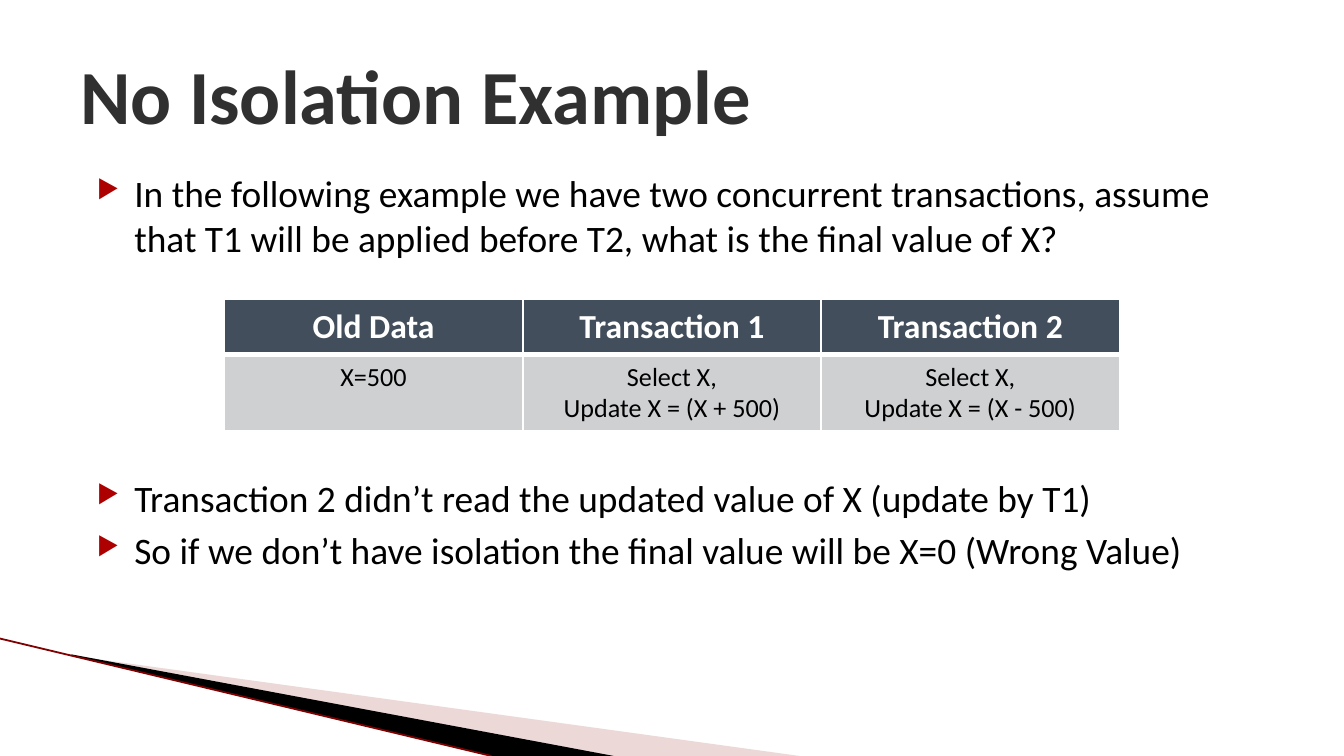
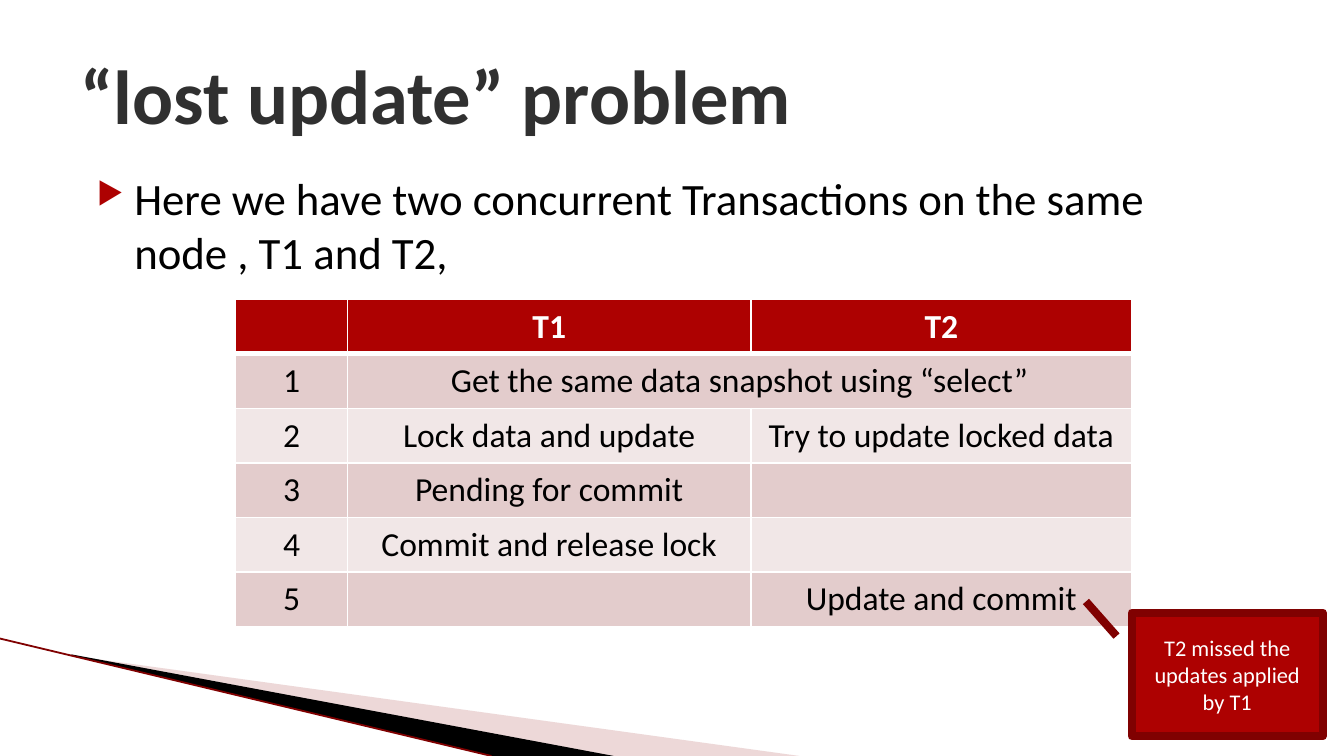
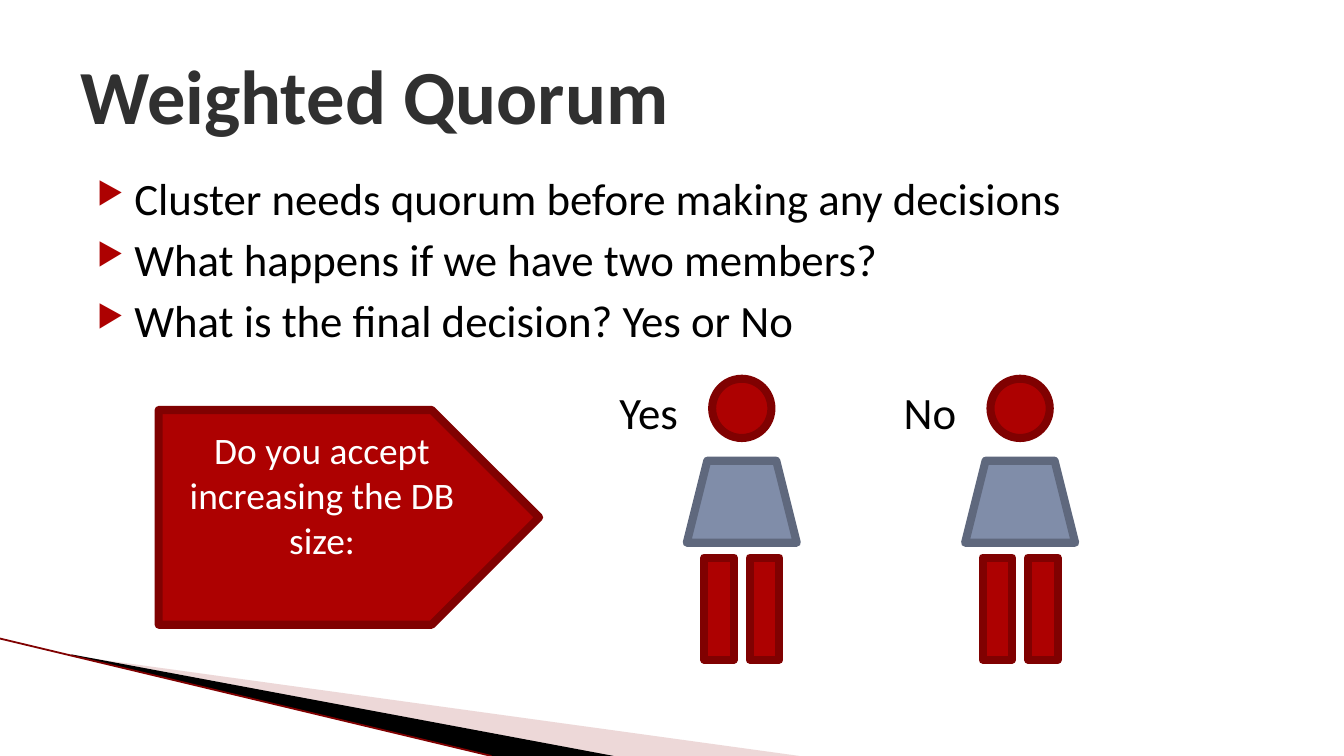
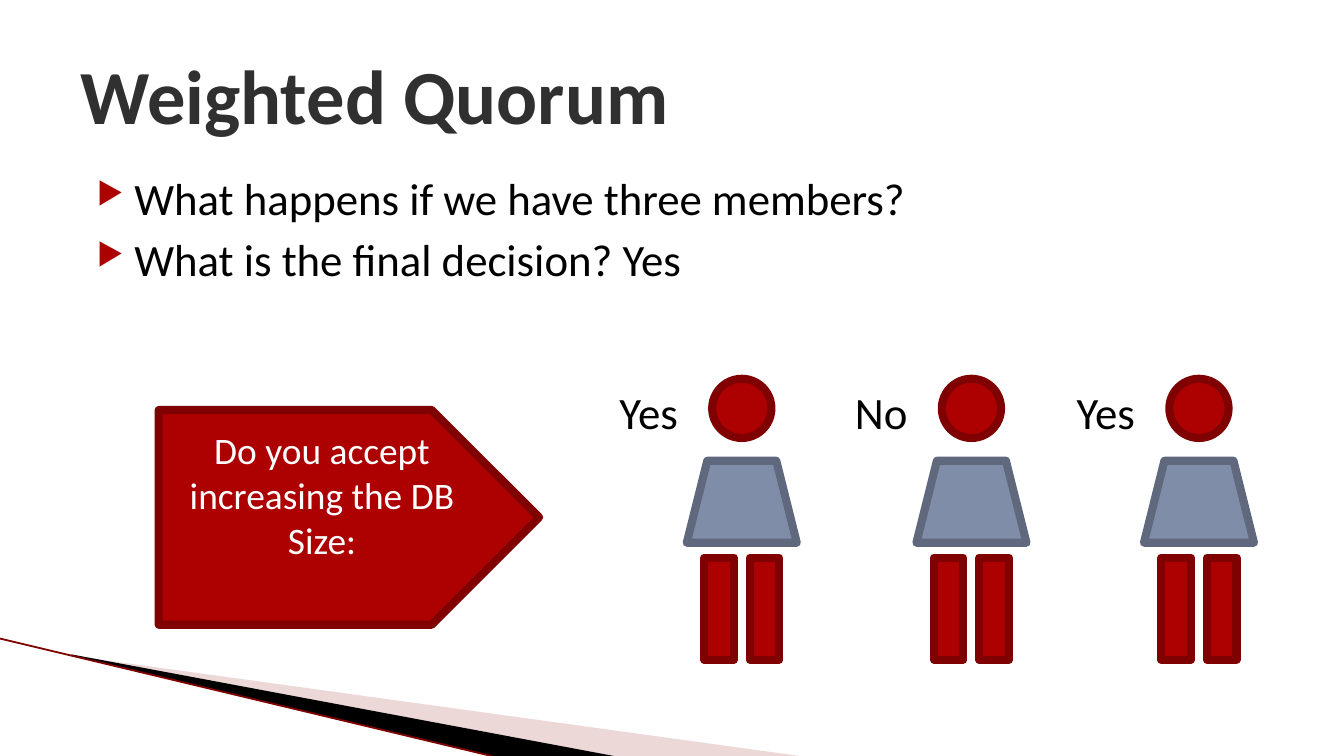
from dataclasses import dataclass

from lxml import etree
from pptx import Presentation
from pptx.dml.color import RGBColor
from pptx.enum.shapes import MSO_CONNECTOR, MSO_SHAPE
from pptx.enum.text import MSO_ANCHOR, PP_ALIGN
from pptx.oxml.ns import qn
from pptx.util import Cm, Pt

LEFT, CENTER, RIGHT = PP_ALIGN.LEFT, PP_ALIGN.CENTER, PP_ALIGN.RIGHT
TOP, MIDDLE = MSO_ANCHOR.TOP, MSO_ANCHOR.MIDDLE
OVAL, RECTANGLE, TRAPEZOID = MSO_SHAPE.OVAL, MSO_SHAPE.RECTANGLE, MSO_SHAPE.TRAPEZOID
PENTAGON, CALLOUT = MSO_SHAPE.PENTAGON, MSO_SHAPE.LINE_CALLOUT_1
STRAIGHT = MSO_CONNECTOR.STRAIGHT


@dataclass(frozen=True)
class Theme:
    font: str = "Calibri"
    title: str = "303030"
    text: str = "000000"
    white: str = "FFFFFF"
    red: str = "AD0101"
    dark_red: str = "800101"
    pink: str = "D29E9E"
    torso: str = "808DA9"
    torso_edge: str = "5F687D"
    slate: str = "424E5B"
    gray: str = "CFD0D2"
    band_dark: str = "E3CCCC"
    band_light: str = "F1E7E7"
    title_size: float = 41
    large: float = 24
    medium: float = 20
    table: float = 18
    small: float = 14
    note: float = 12
    outline: float = 4.33


THEME = Theme()


@dataclass(frozen=True)
class Box:
    """Left, top, width and height in centimetres."""
    left: float
    top: float
    width: float
    height: float

    def lengths(self) -> tuple[Cm, Cm, Cm, Cm]:
        return Cm(self.left), Cm(self.top), Cm(self.width), Cm(self.height)


@dataclass(frozen=True)
class Style:
    size: float
    color: str = THEME.text
    bold: bool = False
    align: PP_ALIGN = LEFT


@dataclass(frozen=True)
class Bullet:
    text: str
    space_before: float = 4


@dataclass(frozen=True)
class Grid:
    left: float
    top: float
    columns: tuple[float, ...]
    heights: tuple[float, ...]
    rows: tuple[tuple[str, ...], ...]
    header_fill: str
    bands: tuple[str, ...]
    body_size: float


@dataclass(frozen=True)
class Voter:
    left: float
    vote: str


@dataclass(frozen=True)
class BodyPart:
    kind: MSO_SHAPE
    box: Box
    fill: str = THEME.red
    edge: str = THEME.dark_red


TITLE_BOX = Box(1.27, 0.58, 22.86, 2.39)
BULLETS_BOX = Box(1.27, 3.1, 22.86, 9.42)
QUESTION_BOX = Box(3, 7.75, 7.19, 4.06)
NOTE_BOX = Box(21.39, 11.58, 3.61, 2.34)
SLIDE_HEIGHT = 14.29

# Each part's left edge is measured from the voter's left edge
BODY_PARTS = (
    BodyPart(OVAL, Box(0.48, 7.16, 1.12, 1.12)),
    BodyPart(TRAPEZOID, Box(0, 8.71, 2.08, 1.55), THEME.torso, THEME.torso_edge),
    BodyPart(RECTANGLE, Box(1.19, 10.54, 0.56, 1.93)),
    BodyPart(RECTANGLE, Box(0.33, 10.54, 0.56, 1.93)),
)

ISOLATION = Grid(
    4.24, 5.66, (5.64,) * 3, (1.04, 1.42),
    (("Old Data", "Transaction 1", "Transaction 2"),
     ("X=500", "Select X,\nUpdate X = (X + 500)", "Select X,\nUpdate X = (X - 500)")),
    THEME.slate, (THEME.gray,), THEME.small)

LOST_UPDATE = Grid(
    4.45, 5.66, (2.12, 7.62, 7.2), (1.03,) * 6,
    (("", "T1", "T2"),
     ("1", "Get the same data snapshot using “select”", ""),
     ("2", "Lock data and update", "Try to update locked data"),
     ("3", "Pending for commit", ""),
     ("4", "Commit and release lock", ""),
     ("5", "", "Update and commit")),
    THEME.red, (THEME.band_dark, THEME.band_light), THEME.table)


# Text and shape helpers

def rgb(color: str) -> RGBColor:
    return RGBColor.from_string(color)


def write(frame, text: str, style: Style) -> None:
    frame.text = text
    for paragraph in frame.paragraphs:
        paragraph.alignment = style.align
        format_paragraph(paragraph, style)


def format_paragraph(paragraph, style: Style) -> None:
    paragraph.font.size = Pt(style.size)
    for run in paragraph.runs:
        run.font.name = THEME.font
        run.font.size = Pt(style.size)
        run.font.bold = style.bold
        run.font.color.rgb = rgb(style.color)


def text_frame(slide, box: Box, anchor: MSO_ANCHOR = TOP):
    frame = slide.shapes.add_textbox(*box.lengths()).text_frame
    frame.word_wrap = True
    frame.vertical_anchor = anchor
    return frame


def add_outlined(shapes, kind: MSO_SHAPE, box: Box,
                 fill: str = THEME.red, edge: str = THEME.dark_red):
    shape = shapes.add_shape(kind, *box.lengths())
    shape.shadow.inherit = False
    shape.fill.solid()
    shape.fill.fore_color.rgb = rgb(fill)
    shape.line.color.rgb = rgb(edge)
    shape.line.width = Pt(THEME.outline)
    return shape


# Shared slide parts

def add_wedge(slide, points: list[tuple[float, float]], color: str, opacity: int = 100) -> None:
    start, *rest = [(Cm(x), Cm(y)) for x, y in points]
    builder = slide.shapes.build_freeform(*start, scale=1.0)
    builder.add_line_segments(rest, close=True)
    wedge = builder.convert_to_shape()
    wedge.shadow.inherit = False
    wedge.fill.solid()
    wedge.fill.fore_color.rgb = rgb(color)
    wedge.line.fill.background()
    if opacity < 100:
        tint = wedge.fill._xPr.find(".//" + qn("a:srgbClr"))
        etree.SubElement(tint, qn("a:alpha"), val=str(opacity * 1000))


def add_corner(slide) -> None:
    add_wedge(slide, [(1.4, 12.4), (15.11, SLIDE_HEIGHT), (11.58, SLIDE_HEIGHT)], THEME.pink, 40)
    add_wedge(slide, [(1.35, 12.37), (11.6, SLIDE_HEIGHT), (9.29, SLIDE_HEIGHT), (1.37, 12.4)],
              THEME.text)
    edge = slide.shapes.add_connector(STRAIGHT, Cm(0), Cm(12.07), Cm(9.29), Cm(SLIDE_HEIGHT))
    edge.line.color.rgb = rgb(THEME.dark_red)
    edge.line.width = Pt(0.95)
    etree.SubElement(edge._element.spPr, qn("a:effectLst"))


def add_marker(paragraph) -> None:
    properties = paragraph._p.get_or_add_pPr()
    properties.set("marL", str(Cm(1.02)))
    properties.set("indent", str(Cm(-0.71)))
    color = etree.SubElement(properties, qn("a:buClr"))
    etree.SubElement(color, qn("a:srgbClr"), val=THEME.red)
    etree.SubElement(properties, qn("a:buSzPct"), val="68000")
    etree.SubElement(properties, qn("a:buChar"), char="▶")


def add_bullets(slide, bullets: list[Bullet], size: float) -> None:
    frame = text_frame(slide, BULLETS_BOX)
    frame.text = "\n".join(bullet.text for bullet in bullets)
    for index, (paragraph, bullet) in enumerate(zip(frame.paragraphs, bullets)):
        add_marker(paragraph)
        if index:
            paragraph.space_before = Pt(bullet.space_before)
        format_paragraph(paragraph, Style(size))


def add_content_slide(deck, title: str, bullets: list[Bullet], size: float = THEME.large):
    slide = deck.slides.add_slide(deck.slide_layouts[6])
    add_corner(slide)
    add_bullets(slide, bullets, size)
    write(text_frame(slide, TITLE_BOX, MIDDLE), title,
          Style(THEME.title_size, THEME.title, bold=True))
    return slide


# Tables

def set_borders(cell, bottom: float) -> None:
    properties = cell._tc.get_or_add_tcPr()
    for side, width in (("L", 1), ("R", 1), ("T", 1), ("B", bottom)):
        border = etree.SubElement(properties, qn(f"a:ln{side}"), w=str(Pt(width)))
        fill = etree.SubElement(border, qn("a:solidFill"))
        etree.SubElement(fill, qn("a:srgbClr"), val=THEME.white)


def add_grid(slide, grid: Grid):
    box = Box(grid.left, grid.top, sum(grid.columns), sum(grid.heights))
    table = slide.shapes.add_table(len(grid.rows), len(grid.columns), *box.lengths()).table
    for column, width in zip(table.columns, grid.columns):
        column.width = Cm(width)
    for row, height in zip(table.rows, grid.heights):
        row.height = Cm(height)
    header_style = Style(THEME.table, THEME.white, bold=True, align=CENTER)
    body_style = Style(grid.body_size, align=CENTER)
    for row_index, texts in enumerate(grid.rows):
        header = row_index == 0
        fill = grid.header_fill if header else grid.bands[(row_index - 1) % len(grid.bands)]
        for column_index, text in enumerate(texts):
            cell = table.cell(row_index, column_index)
            write(cell.text_frame, text, header_style if header else body_style)
            set_borders(cell, bottom=3 if header else 1)
            cell.fill.solid()
            cell.fill.fore_color.rgb = rgb(fill)
    return table


# Voting scene

def add_voter(slide, voter: Voter) -> None:
    figure = slide.shapes.add_group_shape()
    for part in BODY_PARTS:
        box = Box(voter.left + part.box.left, part.box.top, part.box.width, part.box.height)
        add_outlined(figure.shapes, part.kind, box, part.fill, part.edge)
    vote = text_frame(slide, Box(voter.left - 1.55, 7.14, 1.63, 1.27))
    vote.margin_left = 0
    write(vote, voter.vote, Style(THEME.large, align=RIGHT))


def add_vote(slide, question: str, voters: list[Voter]) -> None:
    frame = add_outlined(slide.shapes, PENTAGON, QUESTION_BOX).text_frame
    frame.word_wrap = True
    frame.vertical_anchor = MIDDLE
    frame.margin_bottom = Cm(0.99)
    write(frame, question, Style(THEME.medium, THEME.white, align=CENTER))
    for voter in voters:
        add_voter(slide, voter)


# Slides

def build_isolation(deck) -> None:
    slide = add_content_slide(deck, "No Isolation Example", [
        Bullet("In the following example we have two concurrent transactions, assume "
               "that T1 will be applied before T2, what is the final value of X?"),
        Bullet("Transaction 2 didn’t read the updated value of X (update by T1)", 115),
        Bullet("So if we don’t have isolation the final value will be X=0 (Wrong Value)"),
    ], THEME.medium)
    add_grid(slide, ISOLATION)


def build_lost_update(deck) -> None:
    slide = add_content_slide(deck, "“lost update” problem", [
        Bullet("Here we have two concurrent Transactions on the same node , T1 and T2,"),
    ])
    schedule = add_grid(slide, LOST_UPDATE)
    schedule.cell(1, 1).merge(schedule.cell(1, 2))
    note = add_outlined(slide.shapes, CALLOUT, NOTE_BOX)
    for index, value in enumerate((0.19, -0.08, -0.09, -0.24)):
        note.adjustments[index] = value
    note.text_frame.word_wrap = True
    note.text_frame.vertical_anchor = MIDDLE
    write(note.text_frame, "T2 missed the updates applied by T1",
          Style(THEME.note, THEME.white, align=CENTER))


def build_two_members(deck) -> None:
    slide = add_content_slide(deck, "Weighted Quorum", [
        Bullet("Cluster needs quorum before making any decisions"),
        Bullet("What happens if we have two members?"),
        Bullet("What is the final decision? Yes or No"),
    ])
    add_vote(slide, "Do you accept increasing the DB size:",
             [Voter(12.98, "Yes"), Voter(18.24, "No")])


def build_three_members(deck) -> None:
    slide = add_content_slide(deck, "Weighted Quorum", [
        Bullet("What happens if we have three members?"),
        Bullet("What is the final decision? Yes"),
    ])
    add_vote(slide, "Do you accept increasing the DB Size:",
             [Voter(12.98, "Yes"), Voter(17.32, "No"), Voter(21.62, "Yes")])


def main() -> None:
    deck = Presentation()
    deck.slide_width, deck.slide_height = Cm(25.4), Cm(SLIDE_HEIGHT)
    build_isolation(deck)
    build_lost_update(deck)
    build_two_members(deck)
    build_three_members(deck)
    deck.save("out.pptx")


if __name__ == "__main__":
    main()
